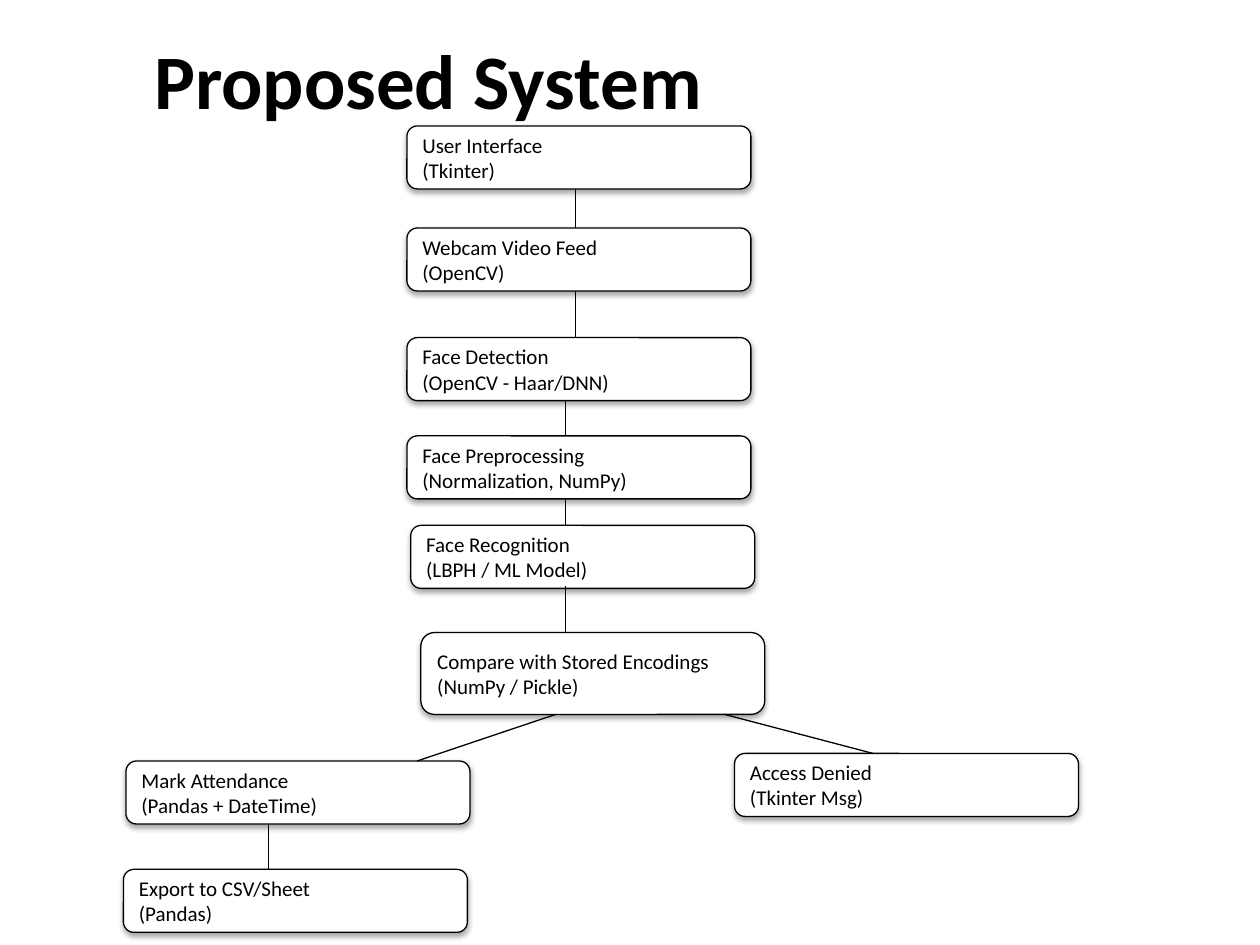
from lxml import etree
from pptx import Presentation
from pptx.dml.color import RGBColor
from pptx.enum.shapes import MSO_CONNECTOR, MSO_SHAPE
from pptx.enum.text import MSO_ANCHOR, PP_ALIGN
from pptx.oxml.ns import qn
from pptx.util import Inches, Pt

ROUND = MSO_SHAPE.ROUNDED_RECTANGLE
STRAIGHT = MSO_CONNECTOR.STRAIGHT
MIDDLE = MSO_ANCHOR.MIDDLE
LEFT, CENTER = PP_ALIGN.LEFT, PP_ALIGN.CENTER
COLORS = {"ink": "000000", "paper": "FFFFFF"}
INK = RGBColor.from_string(COLORS["ink"])
PAPER = RGBColor.from_string(COLORS["paper"])
WIDTH, HEIGHT = 2.73, 0.5


def write(frame, lines, size, align, bold=False):
    frame.word_wrap = True
    frame.vertical_anchor = MIDDLE
    for i, line in enumerate(lines):
        para = frame.add_paragraph() if i else frame.paragraphs[0]
        para.alignment = align
        run = para.add_run()
        run.text = line
        run.font.name = "Calibri"
        run.font.size = Pt(size)
        run.font.bold = bold
        run.font.color.rgb = INK


prs = Presentation()
prs.slide_width, prs.slide_height = Inches(10), Inches(7.5)
slide = prs.slides.add_slide(prs.slide_layouts[6])
shapes = slide.shapes

title = shapes.add_textbox(Inches(-1.1), Inches(0), Inches(9), Inches(1.25))
write(title.text_frame, ["Proposed System"], 44, CENTER, True)

steps = [
    (3.23, 1, HEIGHT, "User Interface", "(Tkinter)"),
    (3.23, 1.81, HEIGHT, "Webcam Video Feed", "(OpenCV)"),
    (3.23, 2.68, HEIGHT, "Face Detection", "(OpenCV - Haar/DNN)"),
    (3.23, 3.46, HEIGHT, "Face Preprocessing", "(Normalization, NumPy)"),
    (3.26, 4.17, HEIGHT, "Face Recognition", "(LBPH / ML Model)"),
    (3.34, 5.02, 0.65, "Compare with Stored Encodings", "(NumPy / Pickle)"),
    (1, 6.04, HEIGHT, "Mark Attendance", "(Pandas + DateTime)"),
    (5.83, 5.98, HEIGHT, "Access Denied", "(Tkinter Msg)"),
    (0.98, 6.9, HEIGHT, "Export to CSV/Sheet", "(Pandas)"),
]
for x, y, h, *lines in steps:
    box = shapes.add_shape(ROUND, Inches(x), Inches(y), Inches(WIDTH), Inches(h))
    box.fill.solid()
    box.fill.fore_color.rgb = PAPER
    box.line.color.rgb = INK
    box.line.width = Pt(0.75)
    write(box.text_frame, lines, 12, LEFT)

links = [
    (4.57, 1.5, 4.57, 1.81),
    (4.57, 2.31, 4.57, 2.68),
    (4.49, 3.18, 4.49, 3.46),
    (4.49, 3.97, 4.49, 4.17),
    (4.49, 4.65, 4.49, 5.02),
    (4.41, 5.67, 3.31, 6.04),
    (5.75, 5.67, 6.93, 5.98),
    (2.13, 6.54, 2.13, 6.9),
]
for ends in links:
    link = shapes.add_connector(STRAIGHT, *map(Inches, ends))
    link.line.color.rgb = INK
    link.line.width = Pt(0.75)
    etree.SubElement(link.element.spPr, qn("a:effectLst"))

prs.save("out.pptx")
